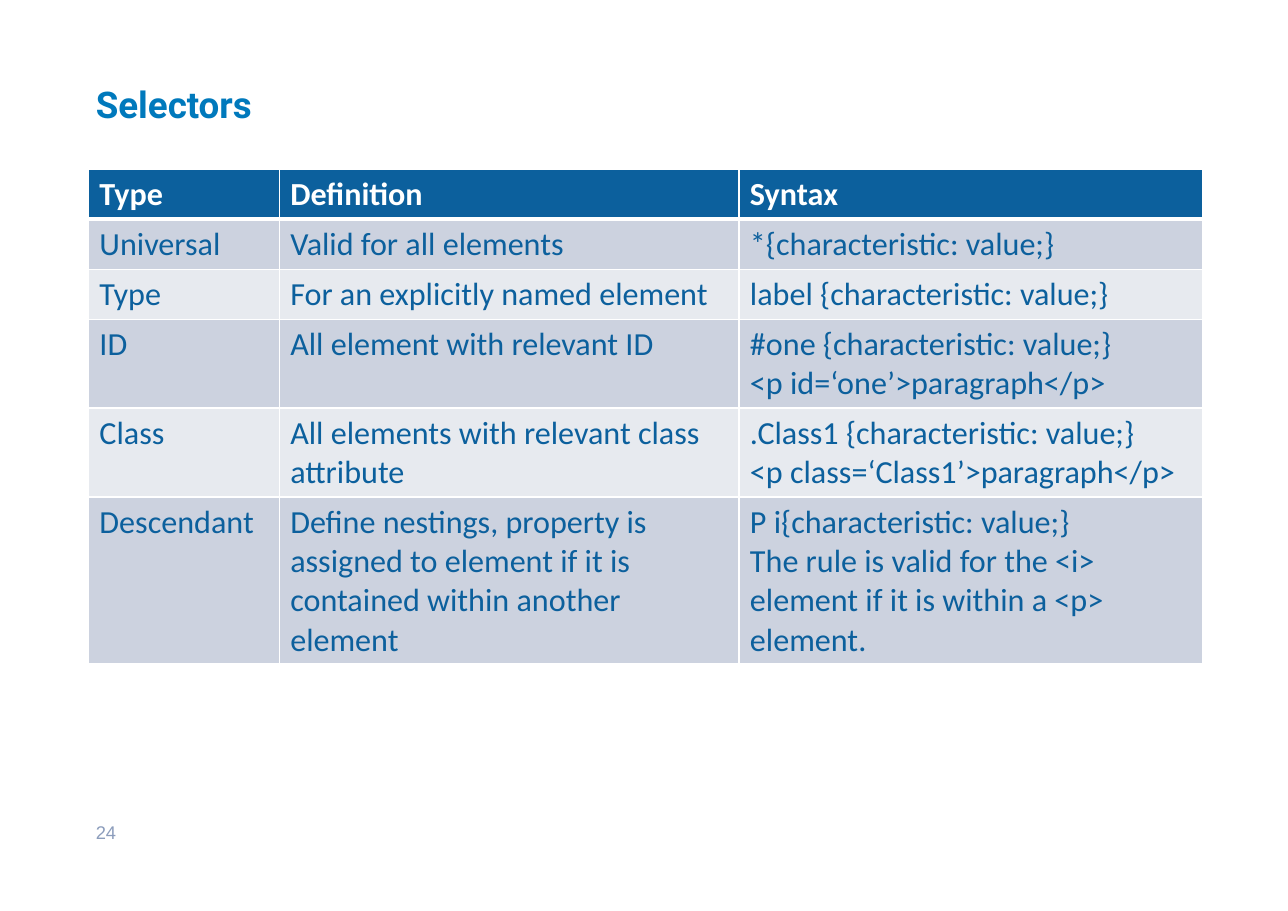
from lxml.etree import SubElement
from pptx import Presentation
from pptx.dml.color import RGBColor
from pptx.enum.text import MSO_ANCHOR
from pptx.oxml.ns import qn
from pptx.util import Cm, Pt

BLUE, WHITE = "0C609D", "FFFFFF"
BANDS = ["CCD2DF", "E7EAEF"]
TITLE = {"name": "Roboto", "size": Pt(24), "bold": True, "color": "0079BC"}
NUMBER = {"name": "Arial", "size": Pt(12), "color": "8C9DBC"}
BODY = {"name": "Calibri", "size": Pt(21), "bold": False, "color": BLUE}
HEADER = {**BODY, "bold": True, "color": WHITE}

COLUMN_WIDTHS = [4.4, 10.6, 10.7]
LINE_HEIGHT, ROW_PADDING = 0.9, 0.25
# Each row: number of text lines, then the cell texts
SELECTORS = [
    (1, "Type", "Definition", "Syntax"),
    (1, "Universal", "Valid for all elements", "*{characteristic: value;}"),
    (1, "Type", "For an explicitly named element",
     "label {characteristic: value;}"),
    (2, "ID", "All element with relevant ID",
     "#one {characteristic: value;}\n<p id=‘one’>paragraph</p>"),
    (2, "Class", "All elements with relevant class attribute",
     ".Class1 {characteristic: value;}\n<p class=‘Class1’>paragraph</p>"),
    (4, "Descendant",
     "Define nestings, property is assigned to element if it is "
     "contained within another element",
     "P i{characteristic: value;}\n"
     "The rule is valid for the <i> element if it is within a <p> element."),
]


def color(value):
    return RGBColor.from_string(value)


def write(frame, text, style):
    """Fill a text frame, one paragraph per line, in the given style."""
    frame.text = text
    for para in frame.paragraphs:
        for span in para.runs:
            for key, value in style.items():
                if key == "color":
                    span.font.color.rgb = color(value)
                else:
                    setattr(span.font, key, value)


def add_text(page, left, top, width, height, text, style, anchor):
    box = page.shapes.add_textbox(Cm(left), Cm(top), Cm(width), Cm(height))
    layout = {"word_wrap": True, "vertical_anchor": anchor,
              "margin_left": Cm(0.28), "margin_right": Cm(0.28),
              "margin_top": Cm(0.15), "margin_bottom": Cm(0.15)}
    for key, value in layout.items():
        setattr(box.text_frame, key, value)
    write(box.text_frame, text, style)


def add_borders(cell, widths):
    """Draw white cell borders; they must precede the fill in the XML."""
    properties = cell._tc.get_or_add_tcPr()
    for side, width in widths.items():
        line = SubElement(properties, qn(f"a:ln{side}"), w=str(Pt(width)))
        fill = SubElement(line, qn("a:solidFill"))
        SubElement(fill, qn("a:srgbClr"), val=WHITE)


def add_selector_table(page, left, top):
    heights = [ROW_PADDING + LINE_HEIGHT * row[0] for row in SELECTORS]
    table = page.shapes.add_table(
        len(SELECTORS), len(COLUMN_WIDTHS), Cm(left), Cm(top),
        Cm(sum(COLUMN_WIDTHS)), Cm(sum(heights))).table
    for column, width in zip(table.columns, COLUMN_WIDTHS):
        column.width = Cm(width)
    for index, (lines, *texts) in enumerate(SELECTORS):
        table.rows[index].height = Cm(heights[index])
        is_header = index == 0
        background = BLUE if is_header else BANDS[(index - 1) % 2]
        borders = {"L": 1, "R": 1, "T": 3 if index == 1 else 1,
                   "B": 3 if is_header else 1}
        for position, text in enumerate(texts):
            cell = table.cell(index, position)
            add_borders(cell, borders)
            cell.fill.solid()
            cell.fill.fore_color.rgb = color(background)
            write(cell.text_frame, text, HEADER if is_header else BODY)


def build_slide(deck):
    page = deck.slides.add_slide(deck.slide_layouts[6])
    # Title
    add_text(page, 1.93, 0.84, 25.83, 3.1, "Selectors", TITLE,
             MSO_ANCHOR.MIDDLE)
    # Slide number
    add_text(page, 1.93, 18.77, 6.48, 1.12, "24", NUMBER, MSO_ANCHOR.TOP)
    # Selector overview
    add_selector_table(page, 2.04, 3.91)


def main():
    deck = Presentation()
    deck.slide_width, deck.slide_height = Cm(29.7), Cm(21)
    build_slide(deck)
    deck.save("out.pptx")


if __name__ == "__main__":
    main()
